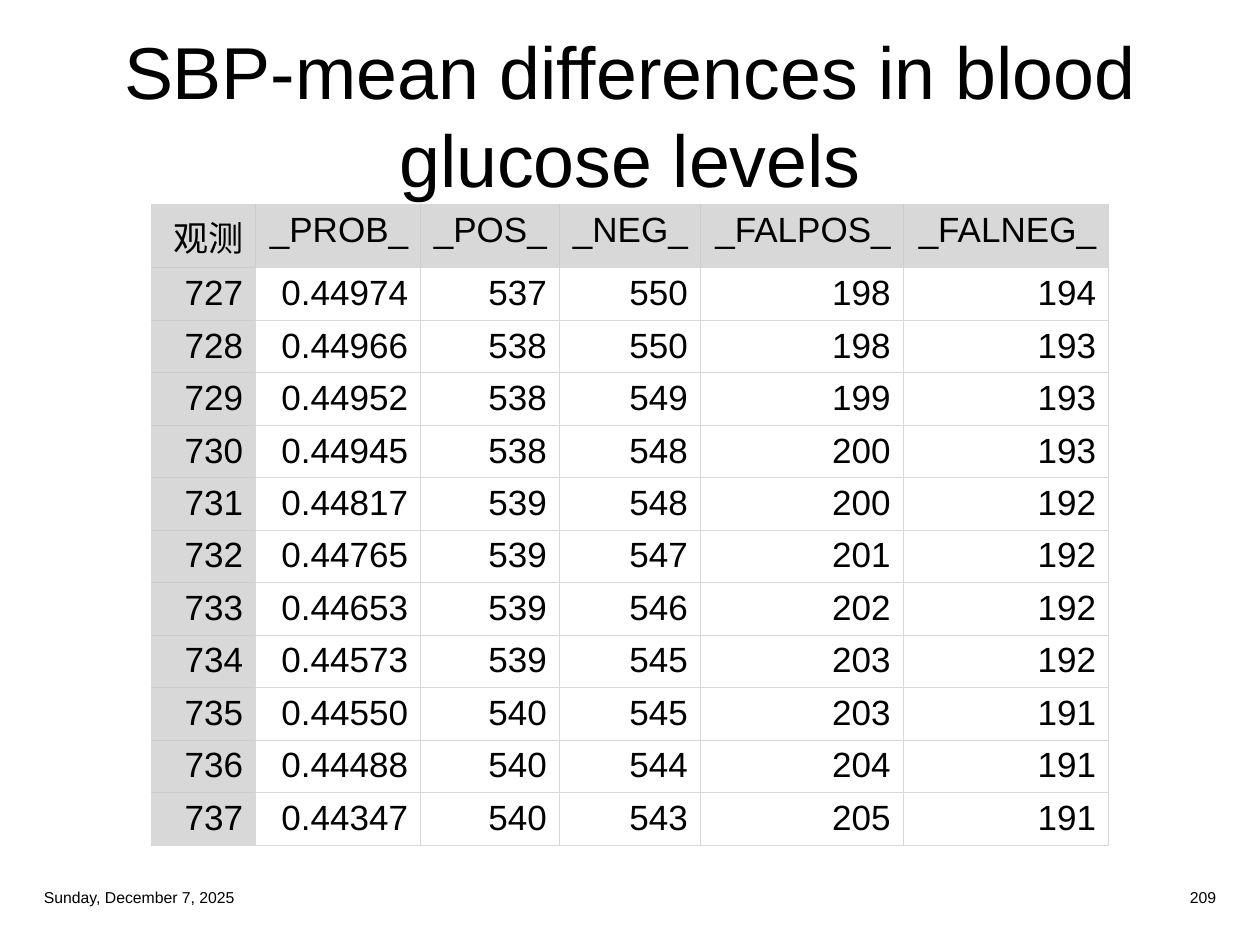
from dataclasses import dataclass

from lxml import etree
from pptx import Presentation
from pptx.dml.color import RGBColor
from pptx.enum.text import MSO_ANCHOR, MSO_AUTO_SIZE, PP_ALIGN
from pptx.oxml.ns import qn
from pptx.util import Inches, Pt

LEFT, CENTER, RIGHT = PP_ALIGN.LEFT, PP_ALIGN.CENTER, PP_ALIGN.RIGHT
MIDDLE, NO_FIT = MSO_ANCHOR.MIDDLE, MSO_AUTO_SIZE.NONE
TITLE_ONLY = 5

COLUMN_WIDTHS = (0.83, 1.31, 1.1, 1.12, 1.61, 1.63)
ROWS = (
    ("观测", "_PROB_", "_POS_", "_NEG_", "_FALPOS_", "_FALNEG_"),
    ("727", "0.44974", "537", "550", "198", "194"),
    ("728", "0.44966", "538", "550", "198", "193"),
    ("729", "0.44952", "538", "549", "199", "193"),
    ("730", "0.44945", "538", "548", "200", "193"),
    ("731", "0.44817", "539", "548", "200", "192"),
    ("732", "0.44765", "539", "547", "201", "192"),
    ("733", "0.44653", "539", "546", "202", "192"),
    ("734", "0.44573", "539", "545", "203", "192"),
    ("735", "0.44550", "540", "545", "203", "191"),
    ("736", "0.44488", "540", "544", "204", "191"),
    ("737", "0.44347", "540", "543", "205", "191"),
)


@dataclass(frozen=True)
class Theme:
    font: str = "Arial"
    ink: str = "000000"
    shade: str = "D8D8D8"
    grid: str = "D8D8D8"
    shaded_grid: str = "CCCCCC"
    title_size: float = 42
    table_size: float = 20
    footer_size: float = 9
    border_width: float = 0.5


def set_all(target, values):
    for name, value in values.items():
        setattr(target, name, value)


class SlideBuilder:
    def __init__(self, deck, theme):
        self.theme = theme
        self.page = deck.slides.add_slide(deck.slide_layouts[TITLE_ONLY])

    def format_text(self, frame, size, align):
        for para in frame.paragraphs:
            para.alignment = align
            for span in para.runs:
                set_all(span.font, {"name": self.theme.font, "size": Pt(size)})
                span.font.color.rgb = RGBColor.from_string(self.theme.ink)

    def title(self, text, left, top, width, height):
        box = self.page.shapes.title
        set_all(box, {"left": Inches(left), "top": Inches(top),
                      "width": Inches(width), "height": Inches(height)})
        frame = box.text_frame
        frame.text = text
        set_all(frame, {"word_wrap": True, "auto_size": NO_FIT,
                        "vertical_anchor": MIDDLE})
        self.format_text(frame, self.theme.title_size, CENTER)

    def label(self, text, left, top, width, height, align):
        box = self.page.shapes.add_textbox(
            Inches(left), Inches(top), Inches(width), Inches(height))
        frame = box.text_frame
        frame.text = text
        set_all(frame, {"word_wrap": True, "vertical_anchor": MIDDLE})
        self.format_text(frame, self.theme.footer_size, align)

    def border(self, cell, side, color):
        width = str(Pt(self.theme.border_width))
        line = etree.SubElement(cell._tc.get_or_add_tcPr(), qn(f"a:ln{side}"), w=width)
        fill = etree.SubElement(line, qn("a:solidFill"))
        etree.SubElement(fill, qn("a:srgbClr"), val=color)

    def table(self, rows, widths, left, top, height):
        theme = self.theme
        last_row, last_column = len(rows) - 1, len(widths) - 1
        grid = self.page.shapes.add_table(
            len(rows), len(widths), Inches(left), Inches(top),
            Inches(sum(widths)), Inches(height)).table
        set_all(grid, {"first_row": False, "horz_banding": False})
        for column, width in zip(grid.columns, widths):
            column.width = Inches(width)

        for r, values in enumerate(rows):
            for c, value in enumerate(values):
                cell = grid.cell(r, c)
                cell.text = value
                self.format_text(cell.text_frame, theme.table_size, RIGHT)
                # Header cells have darker lines except on the outer edge
                shaded = r == 0 or c == 0
                outer = {"L": c == 0, "R": c == last_column,
                         "T": r == 0, "B": r == last_row}
                for side, is_outer in outer.items():
                    inner = shaded and not is_outer
                    self.border(cell, side, theme.shaded_grid if inner else theme.grid)
                if shaded:
                    cell.fill.solid()
                    cell.fill.fore_color.rgb = RGBColor.from_string(theme.shade)
                else:
                    cell.fill.background()


def main():
    deck = Presentation()
    set_all(deck, {"slide_width": Inches(10), "slide_height": Inches(7.5)})
    builder = SlideBuilder(deck, Theme())

    # Title
    builder.title("SBP-mean differences in blood\vglucose levels", 0.25, 0.25, 9.5, 1.31)

    # Classification counts
    builder.table(ROWS, COLUMN_WIDTHS, 1.2, 1.62, 5)

    # Footer: date and page number
    builder.label("Sunday, December 7, 2025", 0.25, 6.99, 2.38, 0.26, LEFT)
    builder.label("209", 7.37, 6.99, 2.38, 0.26, RIGHT)

    deck.save("out.pptx")


if __name__ == "__main__":
    main()
